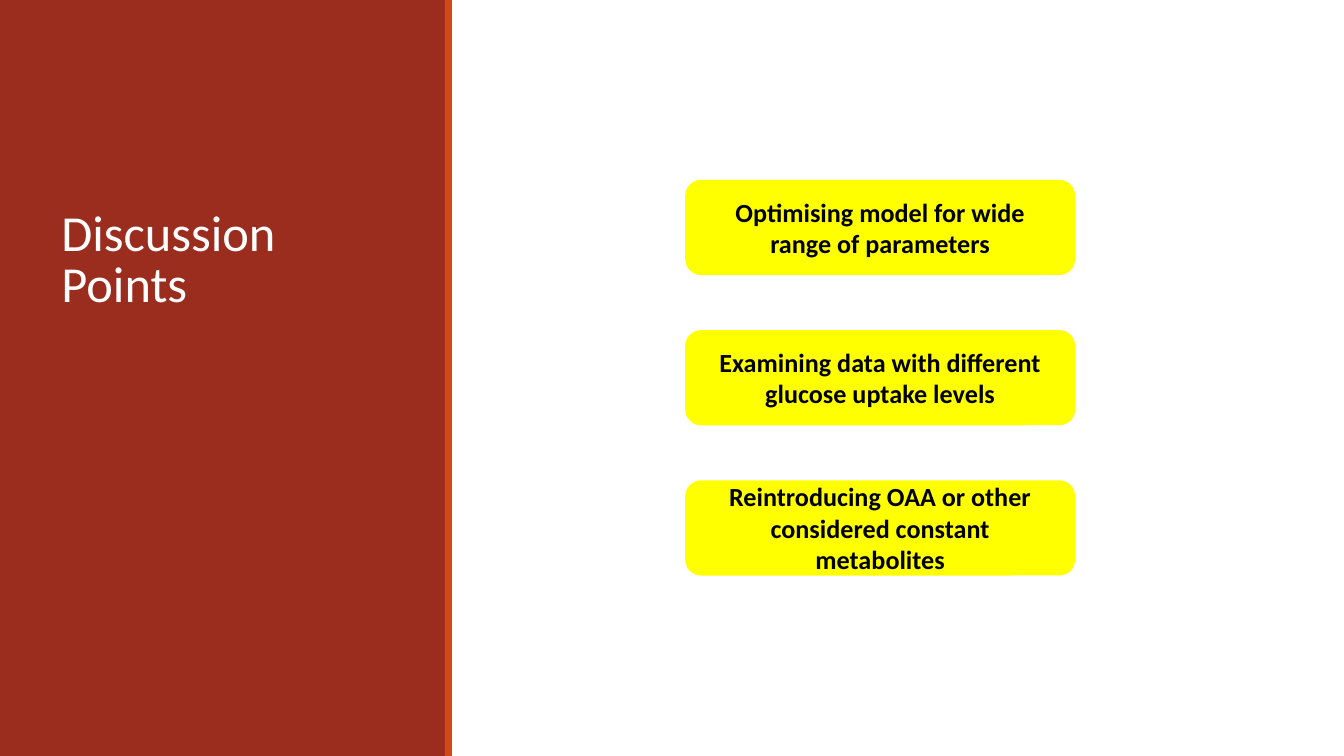
from dataclasses import dataclass

from pptx import Presentation
from pptx.dml.color import RGBColor
from pptx.enum.shapes import MSO_SHAPE
from pptx.enum.text import MSO_ANCHOR, MSO_AUTO_SIZE, PP_ALIGN
from pptx.util import Cm, Pt


@dataclass(frozen=True)
class Theme:
    font: str = "Calibri"
    panel: str = "9B2D1F"
    stripe: str = "D34817"
    card: str = "FFFF00"
    title_text: str = "FFFFFF"
    card_text: str = "000000"
    title_size: int = 27
    card_size: int = 14


THEME = Theme()
WIDTH, HEIGHT = 25.4, 14.29
POINTS = [
    "Optimising model for wide range of parameters",
    "Examining data with different glucose uptake levels",
    "Reintroducing OAA or other considered constant metabolites",
]


def add_block(s, kind, left, top, width, height, color):
    sp = s.shapes.add_shape(kind, Cm(left), Cm(top), Cm(width), Cm(height))
    sp.shadow.inherit = False
    sp.fill.solid()
    sp.fill.fore_color.rgb = RGBColor.from_string(color)
    sp.line.fill.background()
    return sp


def set_text(sp, text, size, color, bold, align, anchor, inset_x, inset_y):
    tf = sp.text_frame
    tf.text = text
    tf.word_wrap = True
    tf.auto_size = MSO_AUTO_SIZE.NONE
    tf.vertical_anchor = anchor
    tf.margin_left = tf.margin_right = Cm(inset_x)
    tf.margin_top = tf.margin_bottom = Cm(inset_y)
    p = tf.paragraphs[0]
    p.alignment = align
    font = p.runs[0].font
    font.name = THEME.font
    font.size = Pt(size)
    font.bold = bold
    font.color.rgb = RGBColor.from_string(color)
    return p


def add_title(s, text):
    sp = s.shapes.title
    sp.left, sp.top, sp.width, sp.height = Cm(0.97), Cm(1.24), Cm(6.65), Cm(4.78)
    p = set_text(sp, text, THEME.title_size, THEME.title_text, False,
                 PP_ALIGN.LEFT, MSO_ANCHOR.BOTTOM, 0.19, 0.1)
    p.line_spacing = 0.85
    sp.element.getparent().append(sp.element)


def add_card(s, top, text):
    sp = add_block(s, MSO_SHAPE.ROUNDED_RECTANGLE, 12.95, top, 7.37, 1.8, THEME.card)
    set_text(sp, text, THEME.card_size, THEME.card_text, True,
             PP_ALIGN.CENTER, MSO_ANCHOR.MIDDLE, 0.25, 0.25)


def main():
    prs = Presentation()
    prs.slide_width, prs.slide_height = Cm(WIDTH), Cm(HEIGHT)
    s = prs.slides.add_slide(prs.slide_layouts[5])
    add_block(s, MSO_SHAPE.RECTANGLE, 0, 0, 8.43, HEIGHT, THEME.panel)
    add_block(s, MSO_SHAPE.RECTANGLE, 8.41, 0, 0.13, HEIGHT, THEME.stripe)
    add_title(s, "Discussion Points")
    for i, text in enumerate(POINTS):
        add_card(s, 3.4 + i * 2.84, text)
    prs.save("out.pptx")


if __name__ == "__main__":
    main()
